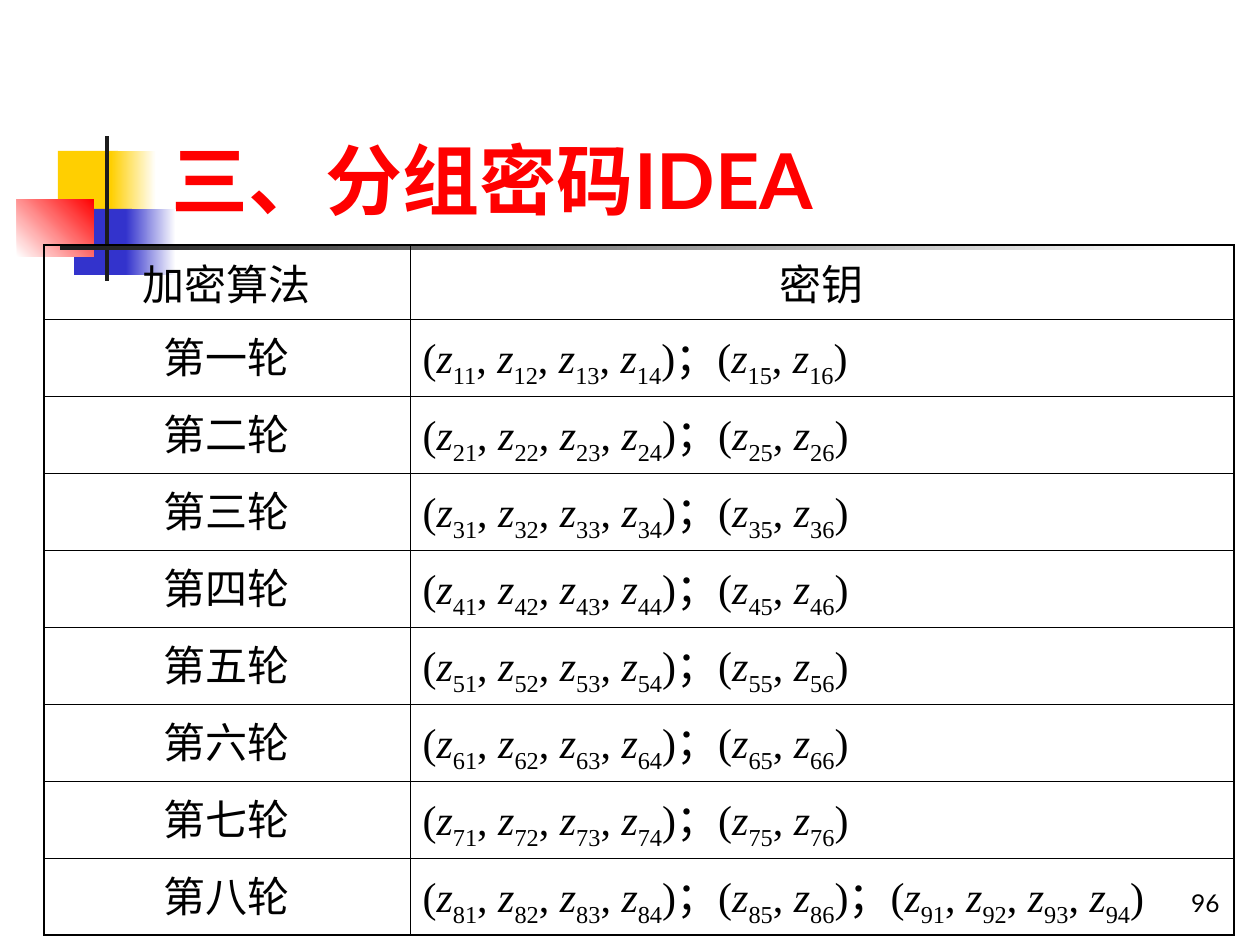
from dataclasses import dataclass

from lxml import etree
from pptx import Presentation
from pptx import util as u
from pptx.dml.color import RGBColor
from pptx.enum import shapes, text
from pptx.oxml import ns

PX = 914400 // 126


@dataclass(frozen=True)
class Theme:
    """Colours, fonts and type sizes of the slide."""
    ink: str = "000000"
    red: str = "FF0000"
    yellow: str = "FFCF01"
    blue: str = "3333CC"
    dark: str = "1C1C1C"
    white: str = "FFFFFF"
    body: str = "Lato"
    math: str = "Times New Roman"
    title_pt: int = 44
    cell_pt: int = 24
    number_pt: int = 14
    outer_pt: float = 1.08
    inner_pt: float = 0.45


T = Theme()


def px(*lengths):
    """Turn pixel lengths into EMU."""
    return [u.Emu(n * PX) for n in lengths]


def add_run(p, words, size, color=T.ink, font=T.body, bold=False, italic=False, sub=False):
    """Add one formatted run to a paragraph."""
    r = p.add_run()
    r.text = words
    r.font.name, r.font.size = font, u.Pt(size)
    r.font.bold, r.font.italic = bold, italic
    r.font.color.rgb = RGBColor.from_string(color)
    if sub:
        r.font._element.set("baseline", "-25000")


def add_block(s, box, start, end=None, angle=0):
    """Add a borderless rectangle with a solid or two-colour fill."""
    sp = s.shapes.add_shape(shapes.MSO_SHAPE.RECTANGLE, *px(*box))
    sp.shadow.inherit = False
    sp.line.fill.background()
    if end is None:
        sp.fill.solid()
        sp.fill.fore_color.rgb = RGBColor.from_string(start)
        return
    sp.fill.gradient()
    sp.fill.gradient_angle = angle
    for stop, color in zip(sp.fill.gradient_stops, (start, end)):
        stop.color.rgb = RGBColor.from_string(color)


def add_ornament(s, x, y):
    """Draw the overlapping colour blocks and the two rules."""
    blocks = [
        ((41, 15, 60, 65), T.yellow),
        ((94, 15, 45, 65), T.yellow, T.white),
        ((57, 73, 58, 66), T.blue),
        ((109, 73, 50, 66), T.blue, T.white),
        ((0, 63, 77, 58), T.white, T.red, 45),
        ((88, 0, 4, 145), T.dark),
        ((43, 110, 1134, 4), T.dark, T.white),
    ]
    for (left, top, w, h), *fill in blocks:
        add_block(s, (x + left, y + top, w, h), *fill)


def add_title(s, box, words):
    """Place and format the title placeholder."""
    sp = s.shapes.title
    sp.left, sp.top, sp.width, sp.height = px(*box)
    tf = sp.text_frame
    tf.word_wrap, tf.auto_size = True, text.MSO_AUTO_SIZE.NONE
    tf.vertical_anchor = text.MSO_ANCHOR.BOTTOM
    p = tf.paragraphs[0]
    p.alignment = text.PP_ALIGN.LEFT
    add_run(p, words, T.title_pt, T.red, bold=True)


def add_number(s, box, words):
    """Add the page number at the lower right."""
    tf = s.shapes.add_textbox(*px(*box)).text_frame
    tf.word_wrap = True
    tf.vertical_anchor = text.MSO_ANCHOR.BOTTOM
    p = tf.paragraphs[0]
    p.alignment = text.PP_ALIGN.RIGHT
    add_run(p, words, T.number_pt)


def add_keys(p, groups):
    """Write groups of subscripted keys as bracketed lists."""
    def plain(words):
        add_run(p, words, T.cell_pt, font=T.math)

    plain("(")
    for g, group in enumerate(groups):
        if g:
            plain(")；(")
        for k, key in enumerate(group):
            if k:
                plain(", ")
            add_run(p, "z", T.cell_pt, font=T.math, italic=True)
            add_run(p, key, T.cell_pt, font=T.math, sub=True)
    plain(")")


def style_cell(cell, outer):
    """Clear the fill and draw the borders, heavier on outer sides."""
    tc_pr = cell._tc.get_or_add_tcPr()
    for side in "LRTB":
        width = T.outer_pt if side in outer else T.inner_pt
        ln = etree.SubElement(tc_pr, ns.qn(f"a:ln{side}"), w=str(u.Pt(width)))
        fill = etree.SubElement(ln, ns.qn("a:solidFill"))
        etree.SubElement(fill, ns.qn("a:srgbClr"), val=T.ink)
    cell.fill.background()


def add_key_table(s, box, label_w, head_h, heads, rounds):
    """Add the table of round names and their keys."""
    x, y, w, h = box
    n = len(rounds)
    table = s.shapes.add_table(n + 1, 2, *px(x, y, w, h)).table
    table.first_row = table.horz_banding = False
    for col, width in zip(table.columns, px(label_w, w - label_w)):
        col.width = width
    for i, row in enumerate(table.rows):
        row.height = px((h - head_h) // n if i else head_h)[0]
        for j, cell in enumerate(row.cells):
            style_cell(cell, "LR"[j] + "T" * (i == 0) + "B" * (i == n))
            p = cell.text_frame.paragraphs[0]
            if i and j:
                groups = [[f"{i}{k}" for k in ks] for ks in ("1234", "56")]
                if i == n:
                    groups.append([f"{n + 1}{k}" for k in "1234"])
                add_keys(p, groups)
            else:
                p.alignment = text.PP_ALIGN.CENTER
                add_run(p, f"第{rounds[i - 1]}轮" if i else heads[j], T.cell_pt)


def main():
    """Build and save the slide."""
    prs = Presentation()
    prs.slide_width, prs.slide_height = px(1260, 945)
    s = prs.slides.add_slide(prs.slide_layouts[5])
    add_ornament(s, 17, 136)
    add_number(s, (970, 861, 262, 63), "96")
    add_title(s, (159, 29, 1073, 202), "三、分组密码IDEA")
    add_key_table(s, (44, 245, 1190, 690), 366, 74, ("加密算法", "密钥"), "一二三四五六七八")
    prs.save("out.pptx")


if __name__ == "__main__":
    main()
